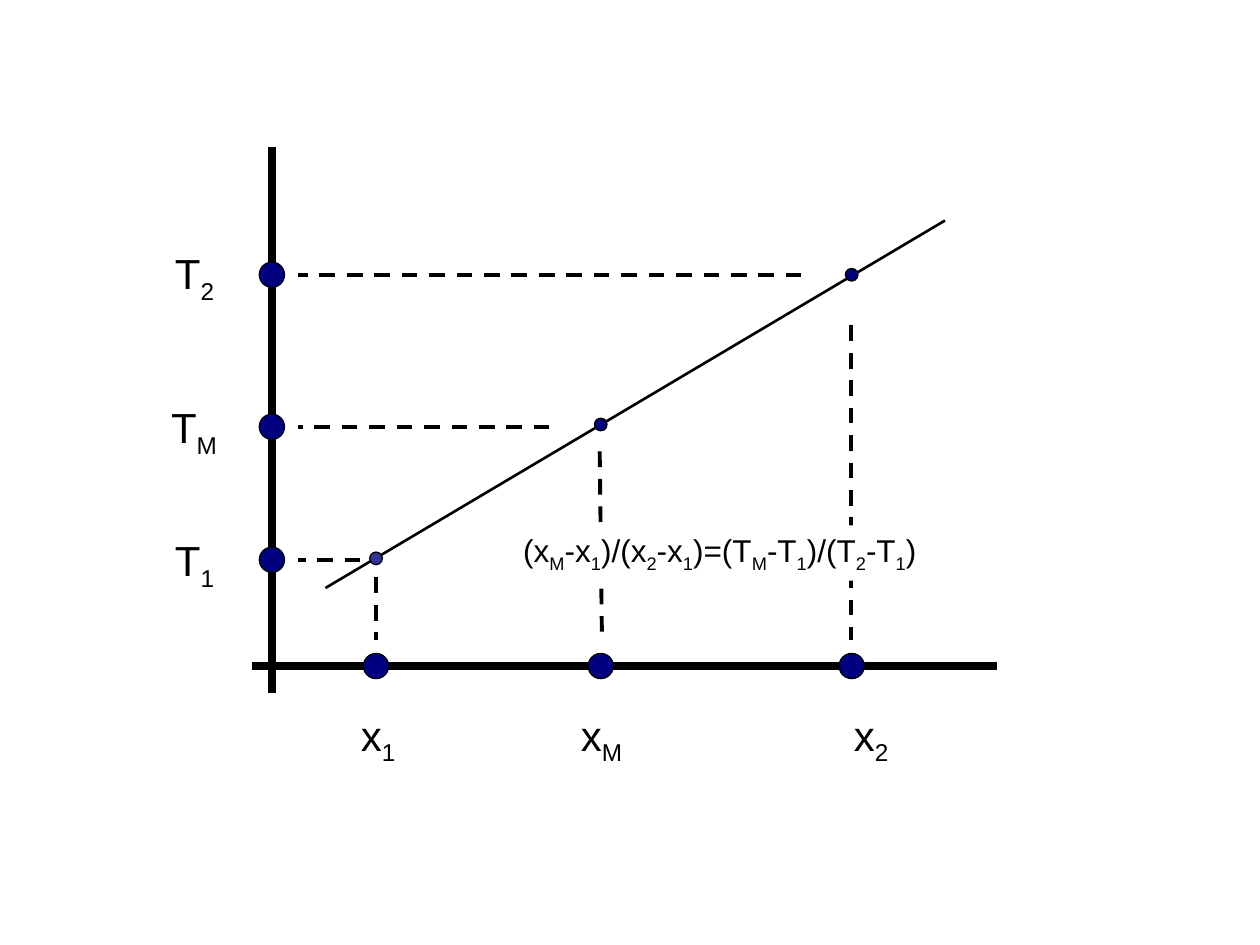
from lxml import etree
from pptx import Presentation
from pptx import util as u
from pptx.dml.color import RGBColor
from pptx.enum import dml, shapes, text
from pptx.oxml.ns import qn

BLACK, WHITE, NAVY, INDIGO = "000000", "FFFFFF", "000080", "333399"
AXIS_X, AXIS_Y = 155.4, 380.6
X_LABEL_TOP, LABEL_WIDTH, LABEL_HEIGHT = 401.8, 44, 40.3
DASH_LEFT, DASH_BOTTOM = 170.2, 366

solid_lines = [
    ((144, AXIS_Y), (570, AXIS_Y), 4.5),
    ((AXIS_X, 396), (AXIS_X, 84.2), 4.5),
    ((186, 336), (540, 126), 1.5),
]
temperatures = [
    {"label": "T|1", "y": 319.9, "label_at": (92.9, 302), "dash_right": 206},
    {"label": "T|M", "y": 243.9, "label_at": (90.7, 226), "dash_right": 314},
    {"label": "T|2", "y": 157, "label_at": (92.9, 138), "dash_right": 458},
]
positions = [
    {"label": "x|1", "x": 214.9, "label_left": 199.2, "dash": (214.8, 330, 214.8)},
    {"label": "x|M", "x": 343.3, "label_left": 324.9, "dash": (342.7, 258, 344)},
    {"label": "x|2", "x": 486.7, "label_left": 480.8, "dash": (486.2, 186, 486.2)},
]
line_points = [(214.9, 319.1, INDIGO), (343.3, 242.6, NAVY), (486.7, 157, NAVY)]
formula = "(x|M|-x|1|)/(x|2|-x|1|)=(T|M|-T|1|)/(T|2|-T|1|)"

presentation = Presentation()
presentation.slide_width, presentation.slide_height = u.Pt(720), u.Pt(540)
slide = presentation.slides.add_slide(presentation.slide_layouts[6])


def color(value):
    return RGBColor.from_string(value)


def add_line(start, end, width, dashed=False):
    connector = slide.shapes.add_connector(
        shapes.MSO_CONNECTOR.STRAIGHT, *(u.Pt(value) for value in (*start, *end)))
    connector.line.color.rgb = color(BLACK)
    connector.line.width = u.Pt(width)
    if dashed:
        connector.line.dash_style = dml.MSO_LINE.DASH
    etree.SubElement(connector._element.spPr, qn("a:effectLst"))


def add_dot(x, y, diameter, fill=NAVY):
    dot = slide.shapes.add_shape(
        shapes.MSO_SHAPE.OVAL, u.Pt(x - diameter / 2), u.Pt(y - diameter / 2),
        u.Pt(diameter), u.Pt(diameter))
    dot.shadow.inherit = False
    dot.fill.solid()
    dot.fill.fore_color.rgb = color(fill)
    dot.line.color.rgb = color(BLACK)
    dot.line.width = u.Pt(0.75)


def add_text(content, left, top, width=LABEL_WIDTH, height=LABEL_HEIGHT,
             size=24, fill=None):
    box = slide.shapes.add_textbox(u.Pt(left), u.Pt(top), u.Pt(width), u.Pt(height))
    if fill:
        box.fill.solid()
        box.fill.fore_color.rgb = color(fill)
    frame = box.text_frame
    frame.word_wrap = True
    frame.auto_size = text.MSO_AUTO_SIZE.NONE
    for index, part in enumerate(content.split("|")):
        run = frame.paragraphs[0].add_run()
        run.text = part
        run.font.name = "Arial"
        run.font.size = u.Pt(size)
        run.font.color.rgb = color(BLACK)
        if index % 2:
            run.font._element.set("baseline", "-25000")


for start, end, width in solid_lines:
    add_line(start, end, width)

for temperature in temperatures:
    y = temperature["y"]
    add_text(temperature["label"], *temperature["label_at"])
    add_line((temperature["dash_right"], y), (DASH_LEFT, y), 2.25, dashed=True)
    add_dot(AXIS_X, y, 14.4)

for position in positions:
    add_text(position["label"], position["label_left"], X_LABEL_TOP)
    top_x, top_y, bottom_x = position["dash"]
    add_line((top_x, top_y), (bottom_x, DASH_BOTTOM), 2.25, dashed=True)
    add_dot(position["x"], AXIS_Y, 14.4)

for x, y, fill in line_points:
    add_dot(x, y, 7.2, fill)

add_text(formula, 291.9, 300.2, 241, 31.7, size=18, fill=WHITE)

presentation.save("out.pptx")
